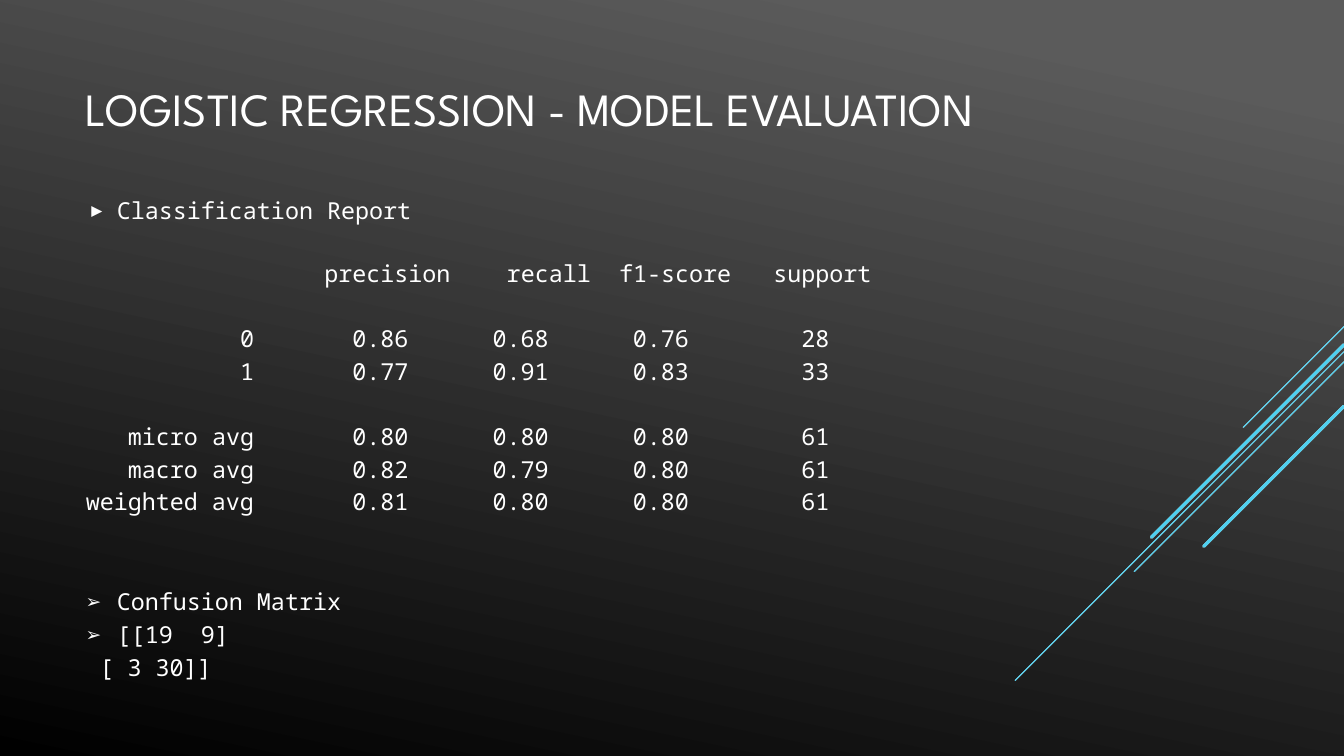
from dataclasses import dataclass

from lxml import etree
from pptx import Presentation
from pptx.dml.color import RGBColor
from pptx.enum.shapes import MSO_CONNECTOR
from pptx.enum.text import MSO_ANCHOR, PP_ALIGN
from pptx.oxml.ns import qn
from pptx.util import Emu, Inches, Pt

STRAIGHT = MSO_CONNECTOR.STRAIGHT
MIDDLE, TOP, BOTTOM = MSO_ANCHOR.MIDDLE, MSO_ANCHOR.TOP, MSO_ANCHOR.BOTTOM
LEFT, RIGHT = PP_ALIGN.LEFT, PP_ALIGN.RIGHT
WIDTH, HEIGHT = 13.33, 7.5
WHITE, CYAN = "FFFFFF", "22C5ED"
TITLE_FONT, MONO_FONT = "League Spartan", "Noto Sans Mono"
MONO_SIZE = 16.7
CHAR = MONO_SIZE * 0.6 / 72  # width of one monospaced character, inches
ROW = 23.3                   # height of one text row, points
BODY_TOP, TEXT_LEFT, HANG = 1.9, 0.85, 0.31
NO_GRID = "{2D5ABB26-0587-4C30-8999-92F81FD0307C}"
COLUMNS = (13, 14, 10, 10, 10)  # report column widths, in characters
VALUE_INSET = 3                 # figures end this many characters before headers


@dataclass
class Ray:
    """Diagonal line falling at 45 degrees from the right edge."""
    y: float
    run: float
    weight: float


@dataclass
class Line:
    """One row of the body text, after `gap` empty rows."""
    text: str
    gap: int = 0
    bullet: str = ""
    indent: float = 0


@dataclass
class ReportRow:
    """One row of the classification report, `rows` text rows high."""
    cells: tuple
    rows: int = 1


RAYS = (
    Ray(3.24, 1.0, 0.75),
    Ray(3.49, 3.26, 0.75),
    Ray(3.59, 2.08, 0.75),
    Ray(3.42, 1.91, 2.25),
    Ray(4.03, 1.39, 2.25),
)
BODY = (
    Line("Classification Report", bullet="▶", indent=HANG),
    Line("Confusion Matrix", 11, bullet="➢", indent=HANG),
    Line("[[19\u00a0 9]", bullet="➢", indent=HANG),
    Line("[ 3 30]]", indent=CHAR),
)
REPORT = (
    ReportRow(("", "precision", "recall", "f1-score", "support")),
    ReportRow(("0", "0.86", "0.68", "0.76", "28"), 2),
    ReportRow(("1", "0.77", "0.91", "0.83", "33")),
    ReportRow(("micro avg", "0.80", "0.80", "0.80", "61"), 2),
    ReportRow(("macro avg", "0.82", "0.79", "0.80", "61")),
    ReportRow(("weighted avg", "0.81", "0.80", "0.80", "61")),
)


def rgb(color: str) -> RGBColor:
    """Turn a hex string into a colour."""
    return RGBColor.from_string(color)


def set_font(p, name: str, size: float) -> None:
    """Set the white font of a whole paragraph."""
    p.font.name, p.font.size = name, Pt(size)
    p.font.color.rgb = rgb(WHITE)


def sub(parent, tag: str, **attrs):
    """Append a DrawingML element with its attributes."""
    return etree.SubElement(parent, qn(tag), attrs)


def paint_background(s) -> None:
    """Fill the background with a grey to black gradient."""
    fill = s.background.fill
    fill.gradient()
    fill.gradient_angle = 360 - 102
    for stop, place, color in zip(fill.gradient_stops, (0.1, 1), ("5B5B5B", "000000")):
        stop.position, stop.color.rgb = place, rgb(color)


def add_ray(s, ray: Ray, color: str, opacity: int) -> None:
    """Draw one diagonal line with round ends."""
    line = s.shapes.add_connector(
        STRAIGHT, Inches(WIDTH), Inches(ray.y),
        Inches(WIDTH - ray.run), Inches(ray.y + ray.run))
    line.line.width = Pt(ray.weight)
    line.line.color.rgb = rgb(color)
    ln = line.line._ln
    ln.set("cap", "rnd")
    sub(ln.find(".//" + qn("a:srgbClr")), "a:alpha", val=str(opacity * 1000))
    sub(line._element.spPr, "a:effectLst")


def write_title(s, text: str) -> None:
    """Place and format the title placeholder."""
    title = s.shapes.title
    title.left, title.top = Inches(0.75), Inches(0.53)
    title.width, title.height = Inches(WIDTH * 0.7), Inches(1.15)
    tf = title.text_frame
    tf.text, tf.vertical_anchor, tf.word_wrap = text, MIDDLE, True
    p = tf.paragraphs[0]
    p.alignment, p.line_spacing = LEFT, 0.9
    set_font(p, TITLE_FONT, 33)


def write_line(p, line: Line) -> None:
    """Write one body row with its gap and bullet."""
    p.text = line.text
    p.line_spacing, p.space_before = Pt(ROW), Pt(ROW * line.gap)
    pPr = p._p.get_or_add_pPr()
    pPr.set("marL", str(Inches(line.indent)))
    pPr.set("indent", str(Inches(-line.indent if line.bullet else 0)))
    if line.bullet:
        sub(sub(pPr, "a:buClr"), "a:srgbClr", val=WHITE)
        sub(pPr, "a:buSzPct", val="80000")
        sub(pPr, "a:buFont", typeface=MONO_FONT)
        sub(pPr, "a:buChar", char=line.bullet)
    set_font(p, MONO_FONT, MONO_SIZE)


def write_body(s, lines: tuple) -> None:
    """Add the text box with the headings and the matrix."""
    box = s.shapes.add_textbox(
        Inches(TEXT_LEFT), Inches(BODY_TOP), Inches(WIDTH * 0.7), Inches(HEIGHT * 0.7))
    tf = box.text_frame
    tf.word_wrap, tf.vertical_anchor = True, TOP
    tf.margin_left = tf.margin_top = tf.margin_bottom = Emu(0)
    for i, line in enumerate(lines):
        write_line(tf.add_paragraph() if i else tf.paragraphs[0], line)


def write_cell(cell, text: str, inset: float) -> None:
    """Write one right-aligned report cell without fill."""
    cell.fill.background()
    cell.margin_left = cell.margin_top = cell.margin_bottom = Emu(0)
    cell.margin_right = Inches(inset)
    cell.vertical_anchor = BOTTOM
    p = cell.text_frame.paragraphs[0]
    p.alignment = RIGHT
    set_font(p, MONO_FONT, MONO_SIZE)
    if text:
        p.text = text
    else:
        sub(p._p, "a:endParaRPr", sz="1000")


def add_report(s, rows: tuple) -> None:
    """Add the classification report as a plain table."""
    height = sum(row.rows for row in rows) * ROW
    frame = s.shapes.add_table(
        len(rows), len(COLUMNS), Inches(TEXT_LEFT - CHAR),
        Inches(BODY_TOP) + Pt(2 * ROW), Inches(sum(COLUMNS) * CHAR), Pt(height))
    table = frame.table
    table.first_row = table.horz_banding = False
    table._tbl.tblPr.find(qn("a:tableStyleId")).text = NO_GRID
    for column, chars in zip(table.columns, COLUMNS):
        column.width = Inches(chars * CHAR)
    for r, row in enumerate(rows):
        table.rows[r].height = Pt(row.rows * ROW)
        for c, text in enumerate(row.cells):
            write_cell(table.cell(r, c), text, VALUE_INSET * CHAR if r and c else 0)


prs = Presentation()
prs.slide_width, prs.slide_height = Inches(WIDTH), Inches(HEIGHT)
s = prs.slides.add_slide(prs.slide_layouts[5])
paint_background(s)
for color, opacity in ((WHITE, 100), (CYAN, 80)):
    for ray in RAYS:
        add_ray(s, ray, color, opacity)
write_title(s, "LOGISTIC REGRESSION - MODEL EVALUATION")
write_body(s, BODY)
add_report(s, REPORT)
prs.save("out.pptx")
